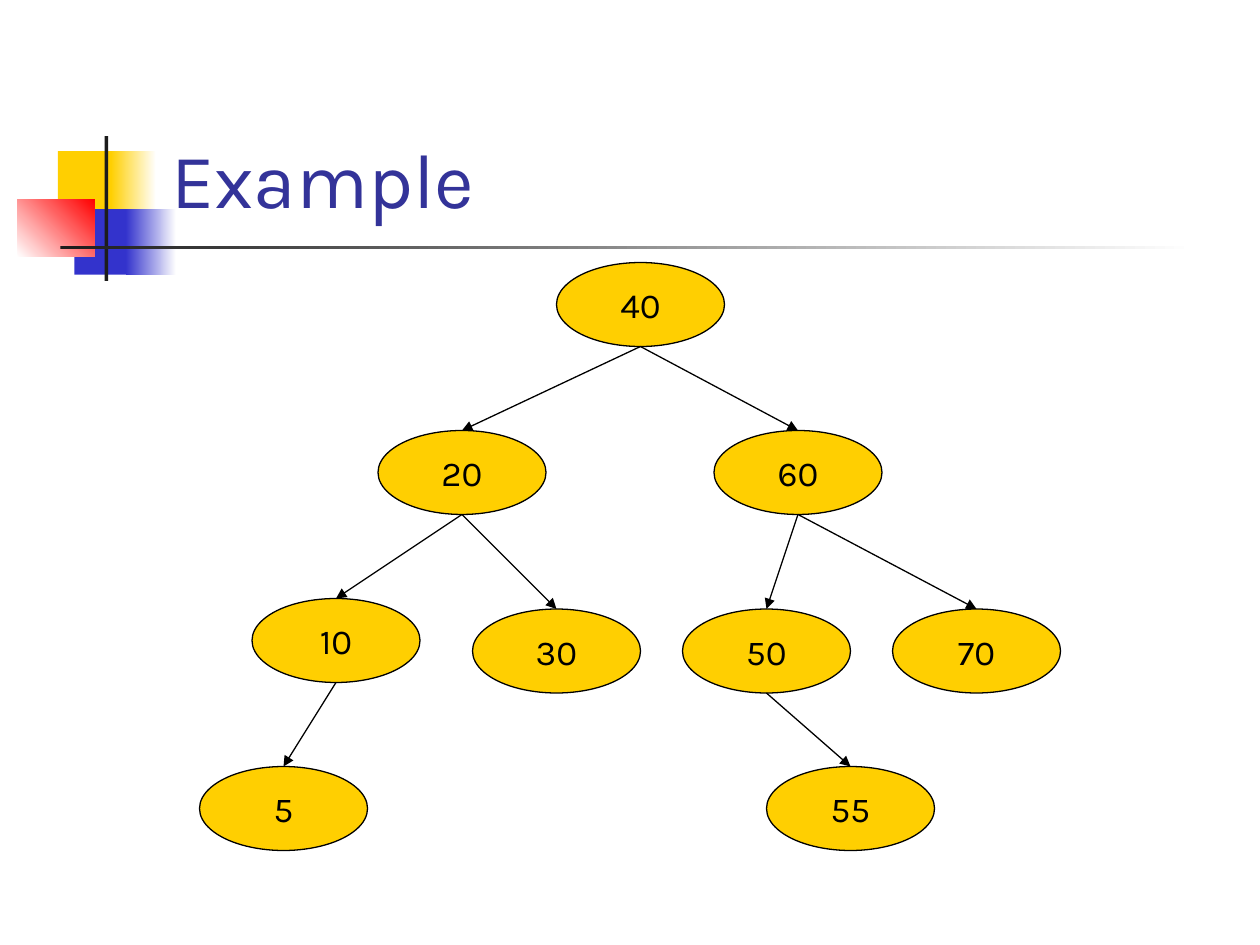
from lxml import etree
from pptx import Presentation
from pptx.dml.color import RGBColor
from pptx.enum import shapes, text
from pptx.oxml import ns
from pptx.util import Emu, Inches, Pt

HUES = {"gold": "FFCF01", "blue": "3333CC", "red": "FF0000", "dark": "1C1C1C",
        "white": "FFFFFF", "title": "333399", "black": "000000"}
FACE = "Karla"
WIDE, HIGH = Inches(10), Inches(7.5)
UNIT = WIDE / 120  # the tree sits on a grid of 120 columns and 90 rows
SIZE = (16, 8)     # columns and rows of one node

# value: (column, row, parent)
TREE = {
    "40": (53, 25, None),
    "20": (36, 41, "40"), "60": (68, 41, "40"),
    "10": (24, 57, "20"), "30": (45, 58, "20"),
    "50": (65, 58, "60"), "70": (85, 58, "60"),
    "5": (19, 73, "10"), "55": (73, 73, "50"),
}

# left, top, width, height in inches, then colours and angle
MOTIF = [
    (0.46, 1.2, 0.48, 0.52, ["gold"], 0),
    (0.88, 1.2, 0.36, 0.52, ["gold", "white"], 0),
    (0.59, 1.66, 0.46, 0.52, ["blue"], 0),
    (1, 1.66, 0.4, 0.52, ["blue", "white"], 0),
    (0.14, 1.58, 0.61, 0.46, ["white", "red"], 45),
    (0.83, 1.08, 0.03, 1.15, ["dark"], 0),
    (0.48, 1.95, 9, 0.03, ["dark", "white"], 0),
]


def hue(name):
    return RGBColor.from_string(HUES[name])


def paint(fill, names, angle=0):
    if len(names) == 1:
        fill.solid()
        fill.fore_color.rgb = hue(names[0])
        return
    fill.gradient()
    fill.gradient_angle = angle
    for stop, name in zip(fill.gradient_stops, names):
        stop.color.rgb = hue(name)


def write(shape, words, size, name, align, **frame):
    body = shape.text_frame
    for key, val in frame.items():
        setattr(body, key, val)
    para = body.paragraphs[0]
    para.alignment = align
    run = para.add_run()
    run.text = words
    for key, val in {"name": FACE, "size": Pt(size)}.items():
        setattr(run.font, key, val)
    run.font.color.rgb = hue(name)


def ink(line):
    line.width = Pt(0.75)
    line.color.rgb = hue("black")


def draw_motif(slide, left, top):
    """Coloured squares and rules beside the title."""
    for x, y, w, h, names, angle in MOTIF:
        box = slide.shapes.add_shape(
            shapes.MSO_SHAPE.RECTANGLE, left + Inches(x), top + Inches(y),
            Inches(w), Inches(h))
        box.shadow.inherit = False
        box.line.fill.background()
        paint(box.fill, names, angle)


def draw_title(slide, left, top, wide, high):
    box = slide.shapes.add_textbox(left, top, wide, high)
    write(box, "Example", 44, "title", text.PP_ALIGN.LEFT,
          word_wrap=True, vertical_anchor=text.MSO_ANCHOR.BOTTOM)


def add_node(slide, left, top, words):
    oval = slide.shapes.add_shape(
        shapes.MSO_SHAPE.OVAL, left, top, *(Emu(int(n * UNIT)) for n in SIZE))
    oval.shadow.inherit = False
    paint(oval.fill, ["gold"])
    ink(oval.line)
    write(oval, words, 20, "black", text.PP_ALIGN.CENTER,
          word_wrap=False, vertical_anchor=text.MSO_ANCHOR.MIDDLE)
    return oval


def add_edge(slide, top, low):
    """Arrow from the foot of one node to the head of the next."""
    edge = slide.shapes.add_connector(
        shapes.MSO_CONNECTOR.STRAIGHT,
        top.left + top.width // 2, top.top + top.height,
        low.left + low.width // 2, low.top)
    ink(edge.line)
    etree.SubElement(edge.line._get_or_add_ln(), ns.qn("a:tailEnd"), type="triangle")
    etree.SubElement(edge._element.spPr, ns.qn("a:effectLst"))


def draw_tree(slide, left, top):
    nodes = {}
    for words, (col, row, root) in TREE.items():
        nodes[words] = add_node(slide, left + Emu(int(col * UNIT)),
                                top + Emu(int(row * UNIT)), words)
        if root:
            add_edge(slide, nodes[root], nodes[words])


def main():
    deck = Presentation()
    deck.slide_width, deck.slide_height = WIDE, HIGH
    slide = deck.slides.add_slide(deck.slide_layouts[6])
    draw_motif(slide, 0, 0)
    draw_title(slide, Inches(1.26), Inches(0.23), Inches(8.52), Inches(1.6))
    draw_tree(slide, 0, 0)
    deck.save("out.pptx")


if __name__ == "__main__":
    main()
